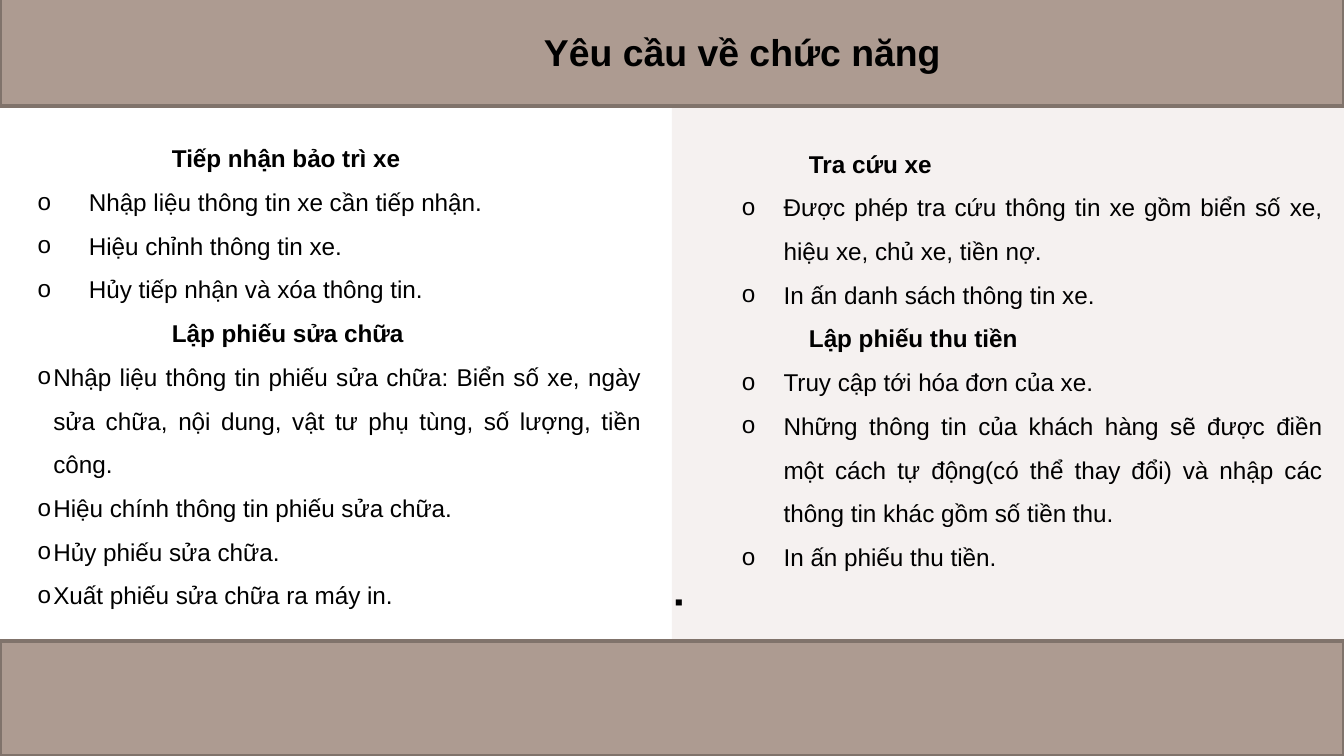
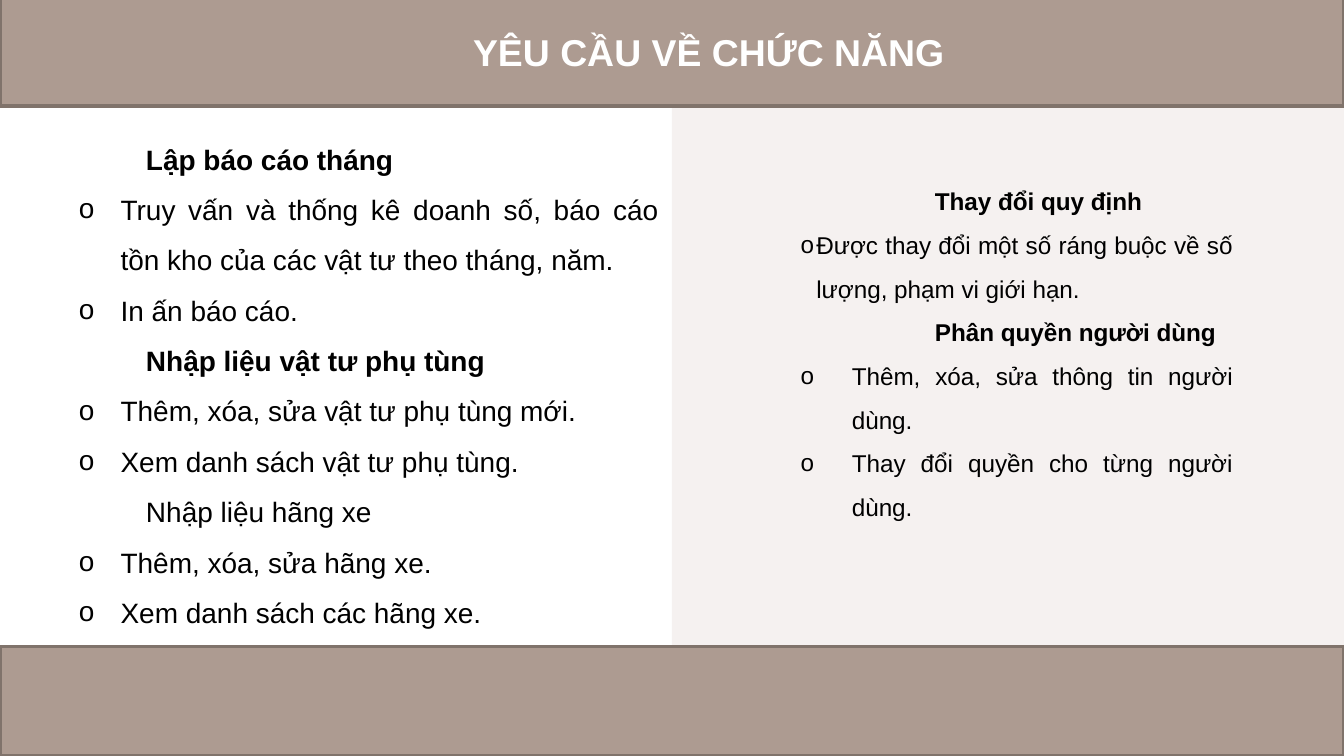
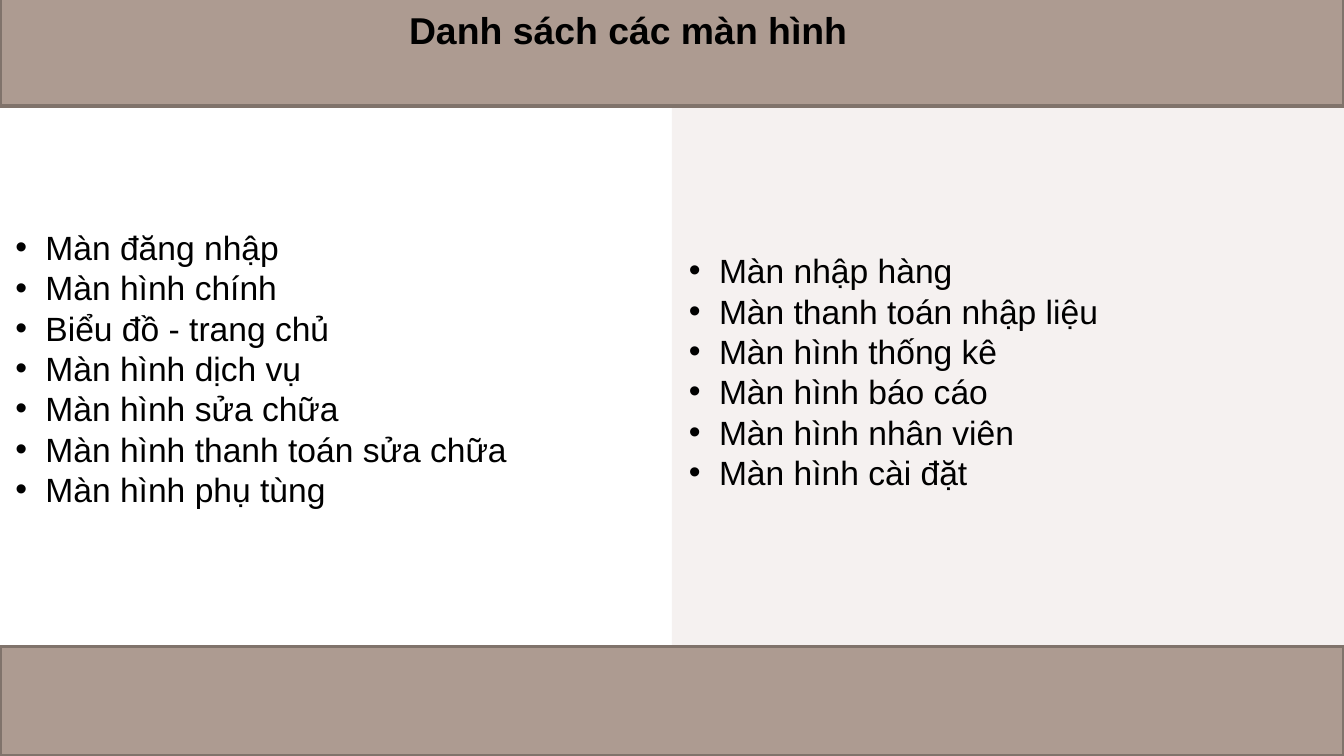
from dataclasses import dataclass
from typing import NamedTuple

from lxml.etree import SubElement
from pptx import Presentation
from pptx.dml.color import RGBColor
from pptx.enum.shapes import MSO_SHAPE
from pptx.enum.text import MSO_ANCHOR, MSO_AUTO_SIZE, PP_ALIGN
from pptx.oxml.ns import qn
from pptx.util import Cm, Pt

WIDTH, HEIGHT = 25.4, 14.29
FONT = "Arial"
BLACK, WHITE = "000000", "FFFFFF"
PANEL, BAND, BAND_EDGE = "F5F1F0", "AD9B91", "80736B"


class Box(NamedTuple):
    left: float
    top: float
    width: float
    height: float

    def lengths(self) -> tuple:
        return tuple(Cm(side) for side in self)


@dataclass(frozen=True)
class LineStyle:
    margin: float = 0
    hanging: float = 0
    bullet: str = ""
    bold: bool = False


HEADING = LineStyle(2.54, bold=True)
PLAIN_HEADING = LineStyle(2.54)
TIGHT = LineStyle(0.3, 0.3, "o")
WIDE = LineStyle(0.97, 0.97, "o")
DEEP = LineStyle(2.06, 0.79, "o")
DOT = LineStyle(0.64, 0.57, "•")
PLAIN = LineStyle()


class Group(NamedTuple):
    style: LineStyle
    lines: list[str]


@dataclass(frozen=True)
class Column:
    box: Box
    groups: list[Group]
    size: int = 13
    spacing: float = 1.5
    top_inset: float = 0.13


@dataclass(frozen=True)
class Page:
    title: str
    title_box: Box
    columns: list[Column]
    title_indent: float = 1.27
    title_color: str = BLACK
    title_spacing: float = 1.5
    title_gap: int = 6
    footer_top: float = 12.22


PAGES = [
    Page("Yêu cầu về chức năng", Box(8.76, 0, 12.7, 3.1), [
        Column(Box(0.46, 2.31, 11.89, 10.16), [
            Group(HEADING, ["Tiếp nhận bảo trì xe"]),
            Group(WIDE, ["Nhập liệu thông tin xe cần tiếp nhận.",
                         "Hiệu chỉnh thông tin xe.",
                         "Hủy tiếp nhận và xóa thông tin."]),
            Group(HEADING, ["Lập phiếu sửa chữa"]),
            Group(TIGHT, ["Nhập liệu thông tin phiếu sửa chữa: Biển số xe, ngày sửa chữa, "
                          "nội dung, vật tư phụ tùng, số lượng, tiền công.",
                          "Hiệu chính thông tin phiếu sửa chữa.",
                          "Hủy phiếu sửa chữa.",
                          "Xuất phiếu sửa chữa ra máy in."]),
        ]),
        Column(Box(12.5, 2.41, 12.73, 9.32), [
            Group(HEADING, ["Tra cứu xe"]),
            Group(DEEP, ["Được phép tra cứu thông tin xe gồm biển số xe, hiệu xe, chủ xe, tiền nợ.",
                         "In ấn danh sách thông tin xe."]),
            Group(HEADING, ["Lập phiếu thu tiền"]),
            Group(DEEP, ["Truy cập tới hóa đơn của xe.",
                         "Những thông tin của khách hàng sẽ được điền một cách tự động"
                         "(có thể thay đổi) và nhập các thông tin khác gồm số tiền thu.",
                         "In ấn phiếu thu tiền."]),
            Group(PLAIN, ["▪"]),
        ]),
    ], footer_top=12.12),
    Page("YÊU CẦU VỀ CHỨC NĂNG", Box(7.42, 0, 12.7, 1.4), [
        Column(Box(-0.03, 2.24, 12.73, 9.75), [
            Group(HEADING, ["Lập báo cáo tháng"]),
            Group(DEEP, ["Truy vấn và thống kê doanh số, báo cáo tồn kho của các vật tư "
                         "theo tháng, năm.",
                         "In ấn báo cáo."]),
            Group(HEADING, ["Nhập liệu vật tư phụ tùng"]),
            Group(DEEP, ["Thêm, xóa, sửa vật tư phụ tùng mới.",
                         "Xem danh sách vật tư phụ tùng."]),
            Group(PLAIN_HEADING, ["Nhập liệu hãng xe"]),
            Group(DEEP, ["Thêm, xóa, sửa hãng xe.", "Xem danh sách các hãng xe."]),
        ], size=15),
        Column(Box(14.88, 3.12, 8.66, 5.16), [
            Group(HEADING, ["Thay đổi quy định"]),
            Group(TIGHT, ["Được thay đổi một số ráng buộc về số lượng, phạm vi giới hạn."]),
            Group(HEADING, ["Phân quyền người dùng"]),
            Group(WIDE, ["Thêm, xóa, sửa thông tin người dùng.",
                         "Thay đổi quyền cho từng người dùng."]),
        ]),
    ], title_color=WHITE),
    Page("Danh sách các màn hình", Box(7.42, 0, 12.7, 1.12), [
        Column(Box(-0.03, 3.48, 12.73, 6.32), [
            Group(DOT, ["Màn đăng nhập", "Màn hình chính", "Biểu đồ - trang chủ",
                        "Màn hình dịch vụ", "Màn hình sửa chữa",
                        "Màn hình thanh toán sửa chữa", "Màn hình phụ tùng"]),
        ], size=18, spacing=1, top_inset=0.81),
        Column(Box(12.7, 3.84, 12.78, 5.64), [
            Group(DOT, ["Màn nhập hàng", "Màn thanh toán nhập liệu", "Màn hình thống kê",
                        "Màn hình báo cáo", "Màn hình nhân viên", "Màn hình cài đặt"]),
        ], size=18, spacing=1, top_inset=0.89),
    ], title_indent=0.06, title_spacing=1, title_gap=0),
]


def paint(color_format, color: str) -> None:
    color_format.rgb = RGBColor.from_string(color)


def add_block(slide, box: Box, fill: str, edge: str = ""):
    block = slide.shapes.add_shape(MSO_SHAPE.RECTANGLE, *box.lengths())
    block.shadow.inherit = False
    block.fill.solid()
    paint(block.fill.fore_color, fill)
    if edge:
        paint(block.line.color, edge)
        block.line.width = Pt(2)
    else:
        block.line.fill.background()
    return block


def prepare_frame(frame, top_inset: float = 0.13) -> None:
    frame.word_wrap = True
    frame.auto_size = MSO_AUTO_SIZE.NONE
    frame.vertical_anchor = MSO_ANCHOR.TOP
    frame.margin_left = frame.margin_right = Cm(0.25)
    frame.margin_top, frame.margin_bottom = Cm(top_inset), Cm(0.13)


def format_line(paragraph, style: LineStyle, size: int, spacing: float, color: str = BLACK) -> None:
    paragraph.alignment = PP_ALIGN.JUSTIFY
    paragraph.line_spacing = spacing
    properties = paragraph._p.get_or_add_pPr()
    properties.set("marL", str(Cm(style.margin)))
    properties.set("indent", str(-Cm(style.hanging)))
    if style.bullet:
        bullet_color = SubElement(properties, qn("a:buClr"))
        SubElement(bullet_color, qn("a:srgbClr"), val=color)
        SubElement(properties, qn("a:buFont"), typeface=FONT)
        SubElement(properties, qn("a:buChar"), char=style.bullet)
    font = paragraph.font
    font.name, font.size, font.bold = FONT, Pt(size), style.bold
    paint(font.color, color)


def place_title(slide, page: Page) -> None:
    title = slide.shapes.title
    title.left, title.top, title.width, title.height = page.title_box.lengths()
    slide.shapes.element.append(title.element)
    title.text_frame.text = page.title
    prepare_frame(title.text_frame)
    heading = title.text_frame.paragraphs[0]
    heading.space_before = heading.space_after = Pt(page.title_gap)
    format_line(heading, LineStyle(page.title_indent, bold=True), 20,
                page.title_spacing, page.title_color)


def add_column(slide, column: Column) -> None:
    frame = slide.shapes.add_textbox(*column.box.lengths()).text_frame
    prepare_frame(frame, column.top_inset)
    entries = [(group.style, line) for group in column.groups for line in group.lines]
    for position, (style, line) in enumerate(entries):
        paragraph = frame.add_paragraph() if position else frame.paragraphs[0]
        paragraph.text = line
        format_line(paragraph, style, column.size, column.spacing)


def add_page(deck, layout, page: Page) -> None:
    slide = deck.slides.add_slide(layout)
    add_block(slide, Box(0, -0.48, WIDTH, 2.48), BAND, BAND_EDGE)
    place_title(slide, page)
    add_block(slide, Box(0, page.footer_top, WIDTH, HEIGHT - page.footer_top), BAND, BAND_EDGE)
    for column in page.columns:
        add_column(slide, column)


def share_panel(layout, slide) -> None:
    panel = add_block(slide, Box(WIDTH / 2, 0, WIDTH / 2, HEIGHT), PANEL)
    layout.shapes.element.append(panel.element)


def main() -> None:
    deck = Presentation()
    deck.slide_width, deck.slide_height = Cm(WIDTH), Cm(HEIGHT)
    layout = deck.slide_layouts.get_by_name("Title Only")
    for page in PAGES:
        add_page(deck, layout, page)
    share_panel(layout, deck.slides[0])
    deck.save("out.pptx")


if __name__ == "__main__":
    main()
